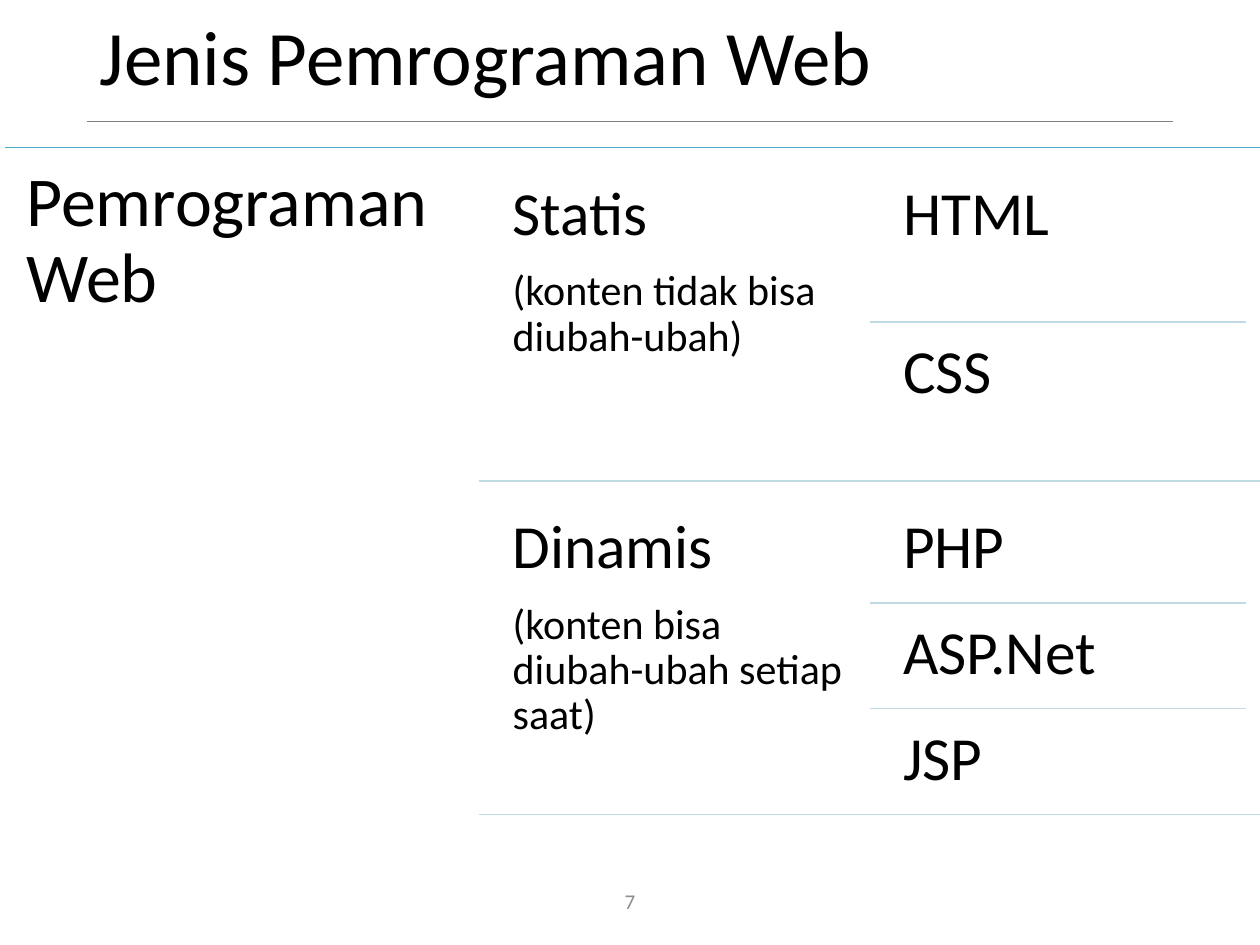
from dataclasses import dataclass

from lxml import etree
from pptx import Presentation
from pptx.dml.color import RGBColor
from pptx.enum.shapes import MSO_CONNECTOR
from pptx.enum.text import MSO_ANCHOR, MSO_AUTO_SIZE, PP_ALIGN
from pptx.oxml.ns import qn
from pptx.util import Inches, Pt

STRAIGHT = MSO_CONNECTOR.STRAIGHT
TOP, MIDDLE = MSO_ANCHOR.TOP, MSO_ANCHOR.MIDDLE
LEFT, CENTER = PP_ALIGN.LEFT, PP_ALIGN.CENTER
NO_AUTOFIT = MSO_AUTO_SIZE.NONE
TITLE_ONLY = 5
WIDTH, HEIGHT = 10, 7.5


@dataclass(frozen=True)
class Theme:
    font: str = "Calibri"
    text: str = "000000"
    muted: str = "8C8C8C"
    title_rule: str = "808080"
    root_rule: str = "4BACC6"
    branch_rule: str = "C1DBE5"
    title_size: int = 44
    root_size: int = 40
    branch_size: int = 35
    note_size: int = 24
    number_size: int = 12
    line_spacing: float = 0.9
    space_after: float = 0.35


@dataclass(frozen=True)
class Box:
    left: float
    top: float
    width: float
    height: float

    def inches(self):
        return [Inches(n) for n in (self.left, self.top, self.width, self.height)]


THEME = Theme()
ROOT = "Pemrograman Web"
BRANCHES = [
    ("Statis", "(konten tidak bisa diubah-ubah)", ["HTML", "CSS"]),
    ("Dinamis", "(konten bisa diubah-ubah setiap saat)", ["PHP", "ASP.Net", "JSP"]),
]


def add_rule(slide, left, top, width, color):
    rule = slide.shapes.add_connector(
        STRAIGHT, Inches(left), Inches(top), Inches(left + width), Inches(top))
    rule.line.color.rgb = RGBColor.from_string(color)
    rule.line.width = Pt(1)
    etree.SubElement(rule.element.spPr, qn("a:effectLst"))


def fill_text(frame, lines, inset=0.1, color=THEME.text, anchor=TOP,
              align=LEFT, spacing=THEME.line_spacing, after=0):
    frame.word_wrap = True
    frame.auto_size = NO_AUTOFIT
    frame.vertical_anchor = anchor
    frame.margin_left = frame.margin_right = Inches(inset)
    frame.margin_top = frame.margin_bottom = Inches(min(inset, 0.15) if inset > 0.1 else 0.05)
    for index, (text, size) in enumerate(lines):
        paragraph = frame.paragraphs[0] if index == 0 else frame.add_paragraph()
        paragraph.text = text
        paragraph.alignment = align
        paragraph.line_spacing = spacing
        paragraph.space_after = Pt(round(size * after))
        paragraph.font.name = THEME.font
        paragraph.font.size = Pt(size)
        paragraph.font.color.rgb = RGBColor.from_string(color)


def add_label(slide, box, lines, inset=0.15):
    frame = slide.shapes.add_textbox(*box.inches()).text_frame
    fill_text(frame, lines, inset, after=THEME.space_after)


def add_title(slide, box, text):
    title = slide.shapes.title
    title.left, title.top, title.width, title.height = box.inches()
    fill_text(title.text_frame, [(text, THEME.title_size)], anchor=MIDDLE)
    add_rule(slide, box.left, box.top + box.height * 1.12, box.width, THEME.title_rule)


def add_page_number(slide, box, number):
    frame = slide.shapes.add_textbox(*box.inches()).text_frame
    fill_text(frame, [(number, THEME.number_size)], color=THEME.muted,
              anchor=MIDDLE, align=CENTER, spacing=1)


def add_branch(slide, box, gap, name, note, leaves):
    column = (box.width - 2 * gap) / 2
    leaf_left = box.left + 2 * gap + column
    leaf_height = box.height / len(leaves)
    add_label(slide, Box(box.left + gap, box.top, column, box.height),
              [(name, THEME.branch_size), (note, THEME.note_size)])
    for index, leaf in enumerate(leaves):
        top = box.top + index * leaf_height
        if index:
            add_rule(slide, leaf_left - gap, top, column, THEME.branch_rule)
        add_label(slide, Box(leaf_left, top, column, leaf_height),
                  [(leaf, THEME.branch_size)])
    add_rule(slide, box.left, box.top + box.height, box.width, THEME.branch_rule)


def add_hierarchy(slide, box, root, branches):
    root_width = box.width * 0.378
    column_gap = box.width * 0.0115
    row_gap = box.height / 43
    branch_height = (box.height - row_gap * (len(branches) + 1)) / len(branches)
    add_rule(slide, box.left, box.top, box.width, THEME.root_rule)
    add_label(slide, Box(box.left, box.top, root_width, box.height),
              [(root, THEME.root_size)], inset=0.17)
    for index, branch in enumerate(branches):
        top = box.top + row_gap + index * (branch_height + row_gap)
        area = Box(box.left + root_width, top, box.width - root_width, branch_height)
        add_branch(slide, area, column_gap, *branch)


def main():
    presentation = Presentation()
    presentation.slide_width, presentation.slide_height = Inches(WIDTH), Inches(HEIGHT)
    slide = presentation.slides.add_slide(presentation.slide_layouts[TITLE_ONLY])
    margin = 0.069 * WIDTH
    add_title(slide, Box(margin, 0.012 * HEIGHT, WIDTH - 2 * margin, 0.104 * HEIGHT),
              "Jenis Pemrograman Web")
    add_hierarchy(slide, Box(0.04, 1.17, WIDTH - 0.04, 5.42), ROOT, BRANCHES)
    number_width = 0.225 * WIDTH
    add_page_number(slide, Box((WIDTH - number_width) / 2, 6.95, number_width, 0.4), "7")
    presentation.save("out.pptx")


if __name__ == "__main__":
    main()
